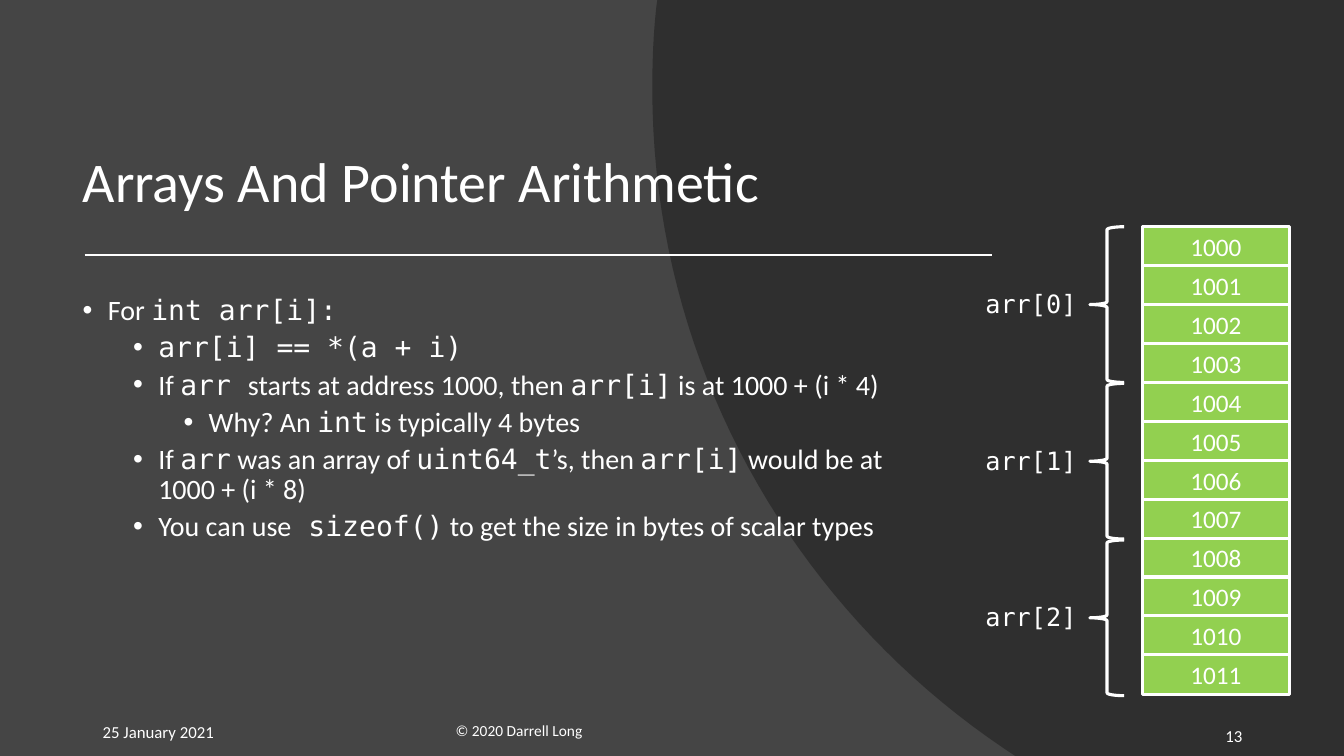
from lxml import etree
from pptx import Presentation
from pptx.dml.color import RGBColor
from pptx.enum.shapes import MSO_CONNECTOR, MSO_SHAPE
from pptx.enum.text import MSO_ANCHOR, MSO_AUTO_SIZE, PP_ALIGN
from pptx.oxml.ns import qn
from pptx.util import Inches, Pt

LEFT, CENTER, RIGHT = PP_ALIGN.LEFT, PP_ALIGN.CENTER, PP_ALIGN.RIGHT
TOP, MIDDLE, BOTTOM = MSO_ANCHOR.TOP, MSO_ANCHOR.MIDDLE, MSO_ANCHOR.BOTTOM
SANS, MONO = "Calibri", "DejaVu Sans Mono"
WHITE, GREEN, GRAY, DARK = "FFFFFF", "92D050", "454545", "262626"


def paint(color_format, color):
    color_format.rgb = RGBColor.from_string(color)


def write(paragraph, text, size, font=SANS, align=LEFT):
    """Add one white run to the paragraph."""
    paragraph.alignment = align
    run = paragraph.add_run()
    run.text = text
    run.font.size = Pt(size)
    run.font.name = font
    paint(run.font.color, WHITE)


prs = Presentation()
prs.slide_width, prs.slide_height = Inches(13.33), Inches(7.5)
slide = prs.slides.add_slide(prs.slide_layouts[1])
shapes = slide.shapes
slide.background.fill.solid()
paint(slide.background.fill.fore_color, GRAY)

# Dark curved area at the right
outline = [(6.52, 0), (13.33, 0), (13.33, 7.5), (10.07, 7.5), (9.95, 7.42)]
curves = [
    ((9.95, 7.42), (7.85, 6), (6.47, 3.6), (6.47, 0.88)),
    ((6.47, 0.88), (6.47, 0.61), (6.48, 0.34), (6.51, 0.07)),
]
STEPS = 40
for curve in curves:
    for step in range(1, STEPS + 1):
        t = step / STEPS
        weights = ((1 - t) ** 3, 3 * t * (1 - t) ** 2, 3 * t * t * (1 - t), t ** 3)
        outline.append([sum(w * point[axis] for w, point in zip(weights, curve))
                        for axis in (0, 1)])
corners = [(Inches(x), Inches(y)) for x, y in outline]
builder = shapes.build_freeform(*corners[0])
builder.add_line_segments(corners[1:], close=True)
backdrop = builder.convert_to_shape()
backdrop.shadow.inherit = False
backdrop.line.fill.background()
backdrop.fill.solid()
paint(backdrop.fill.fore_color, DARK)
shade = backdrop._element.spPr.find(qn("a:solidFill"))[0]
etree.SubElement(shade, qn("a:alpha"), val="70000")
shapes._spTree.insert(2, backdrop._element)

# Title and rule
title, body = shapes.title, slide.placeholders[1]
for holder, box, anchor in (
    (title, (0.72, 0.4, 9.86, 1.78), BOTTOM),
    (body, (0.72, 2.89, 8.39, 3.64), TOP),
):
    holder.left, holder.top, holder.width, holder.height = map(Inches, box)
    holder.text_frame.auto_size = MSO_AUTO_SIZE.NONE
    holder.text_frame.vertical_anchor = anchor
    holder.text_frame.word_wrap = True
heading = title.text_frame.paragraphs[0]
heading.line_spacing = 0.9
write(heading, "Arrays And Pointer Arithmetic", 40)

rule = shapes.add_connector(MSO_CONNECTOR.STRAIGHT, Inches(0.84), Inches(2.53),
                            Inches(9.84), Inches(2.53))
rule.line.width = Pt(1.5)
paint(rule.line.color, WHITE)
etree.SubElement(rule._element.spPr, qn("a:effectLst"))

# Bullets: level, then runs that alternate between plain text and code
bullets = [
    (0, ["For ", "int arr[i]:"]),
    (1, ["", "arr[i] == *(a + i)"]),
    (1, ["If ", "arr ", "starts at address 1000, then ", "arr[i]",
         " is at 1000 + (i * 4)"]),
    (2, ["Why? An ", "int", " is typically 4 bytes"]),
    (1, ["If ", "arr", " was an array of ", "uint64_t", "’s, then ", "arr[i]",
         " would be at 1000 + (i * 8)"]),
    (1, ["You can use", " sizeof()", " to get the size in bytes of scalar types"]),
]
for number, (level, parts) in enumerate(bullets):
    frame = body.text_frame
    item = frame.add_paragraph() if number else frame.paragraphs[0]
    item.level = level
    item.line_spacing = 0.9
    item.space_before = Pt(5 if number else 0)
    props = item._p.get_or_add_pPr()
    props.set("marL", str(Inches(0.25 + 0.5 * level)))
    props.set("indent", str(Inches(-0.25)))
    etree.SubElement(props, qn("a:buFont"), typeface="Arial")
    etree.SubElement(props, qn("a:buChar"), char="•")
    for index, part in enumerate(parts):
        if part:
            write(item, part, 20, MONO if index % 2 else SANS)

# Memory column: one cell per byte, one brace per array element
MEMORY_TOP, CELL_PITCH, CELL_HEIGHT, BYTES_PER_INT = 2.25, 0.386, 0.39, 4
for offset in range(12):
    cell = shapes.add_shape(MSO_SHAPE.RECTANGLE, Inches(11.33),
                            Inches(MEMORY_TOP + offset * CELL_PITCH),
                            Inches(1.46), Inches(CELL_HEIGHT))
    cell.shadow.inherit = False
    cell.fill.solid()
    paint(cell.fill.fore_color, GREEN)
    paint(cell.line.color, WHITE)
    cell.line.width = Pt(2.25)
    cell.text_frame.vertical_anchor = MIDDLE
    write(cell.text_frame.paragraphs[0], str(1000 + offset), 18, align=CENTER)

# Text boxes: place, text, size, font, alignment, anchor
captions = [
    ((4.42, 7.05, 4.5, 0.4), "© 2020 Darrell Long", 11, SANS, LEFT, MIDDLE),
    ((9.42, 7.1, 3, 0.4), "13", 12, SANS, RIGHT, MIDDLE),
    ((0.92, 7.06, 3, 0.4), "25 January 2021", 12, SANS, LEFT, MIDDLE),
]
for element in range(3):
    brace_top = MEMORY_TOP + element * (BYTES_PER_INT * CELL_PITCH + 0.01)
    brace = shapes.add_shape(MSO_SHAPE.LEFT_BRACE, Inches(10.81), Inches(brace_top),
                             Inches(0.34), Inches(BYTES_PER_INT * CELL_PITCH))
    brace.shadow.inherit = False
    brace.fill.background()
    paint(brace.line.color, WHITE)
    brace.line.width = Pt(2.25)
    captions.append(((9.64, brace_top + 0.56, 1.17, 0.4), f"arr[{element}]",
                     18, MONO, CENTER, TOP))

for box, text, size, font, align, anchor in captions:
    caption = shapes.add_textbox(*map(Inches, box)).text_frame
    caption.word_wrap = True
    caption.vertical_anchor = anchor
    paragraph = caption.paragraphs[0]
    if text.startswith("©"):
        paragraph.space_after = Pt(6)
    write(paragraph, text, size, font, align)

prs.save("out.pptx")
